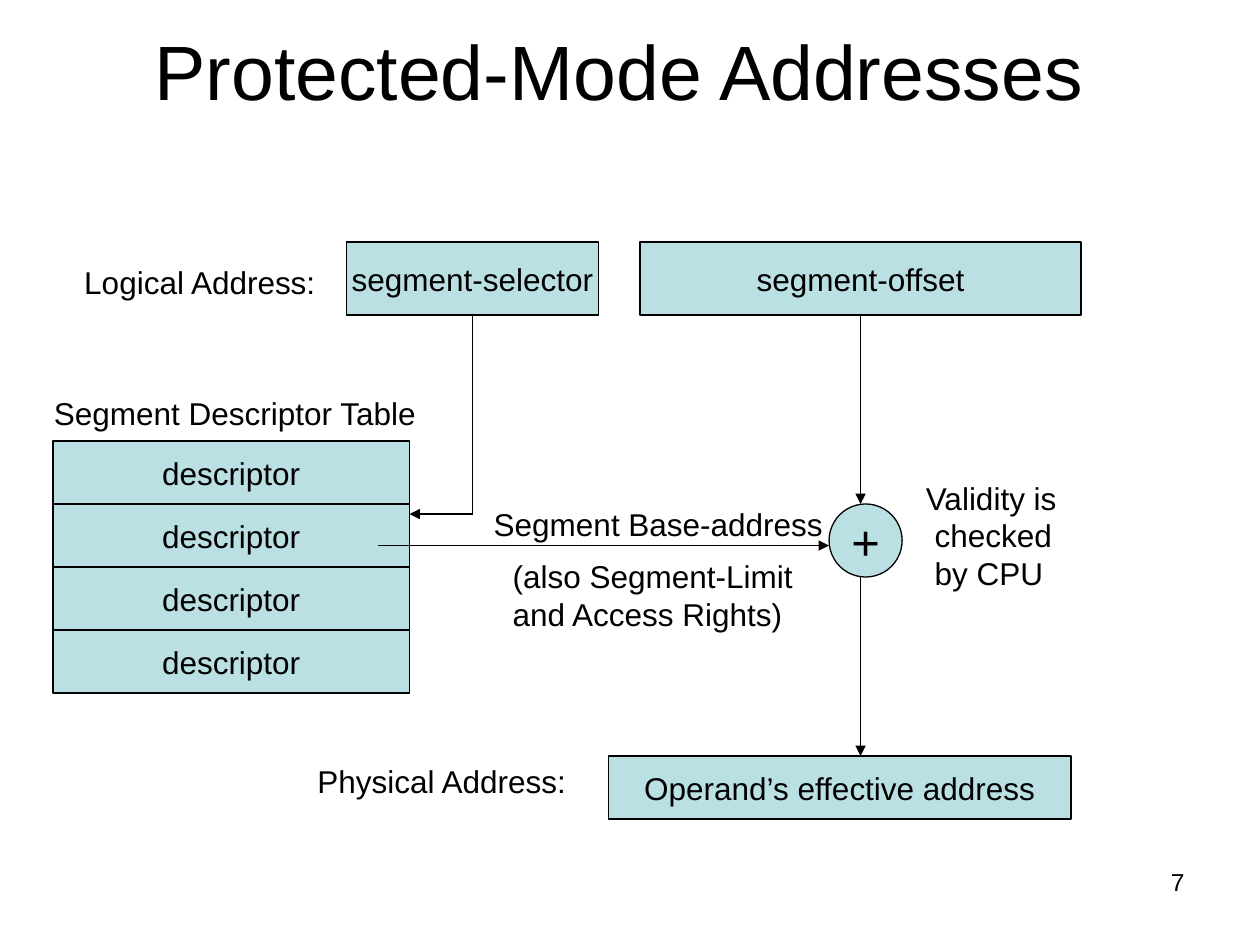
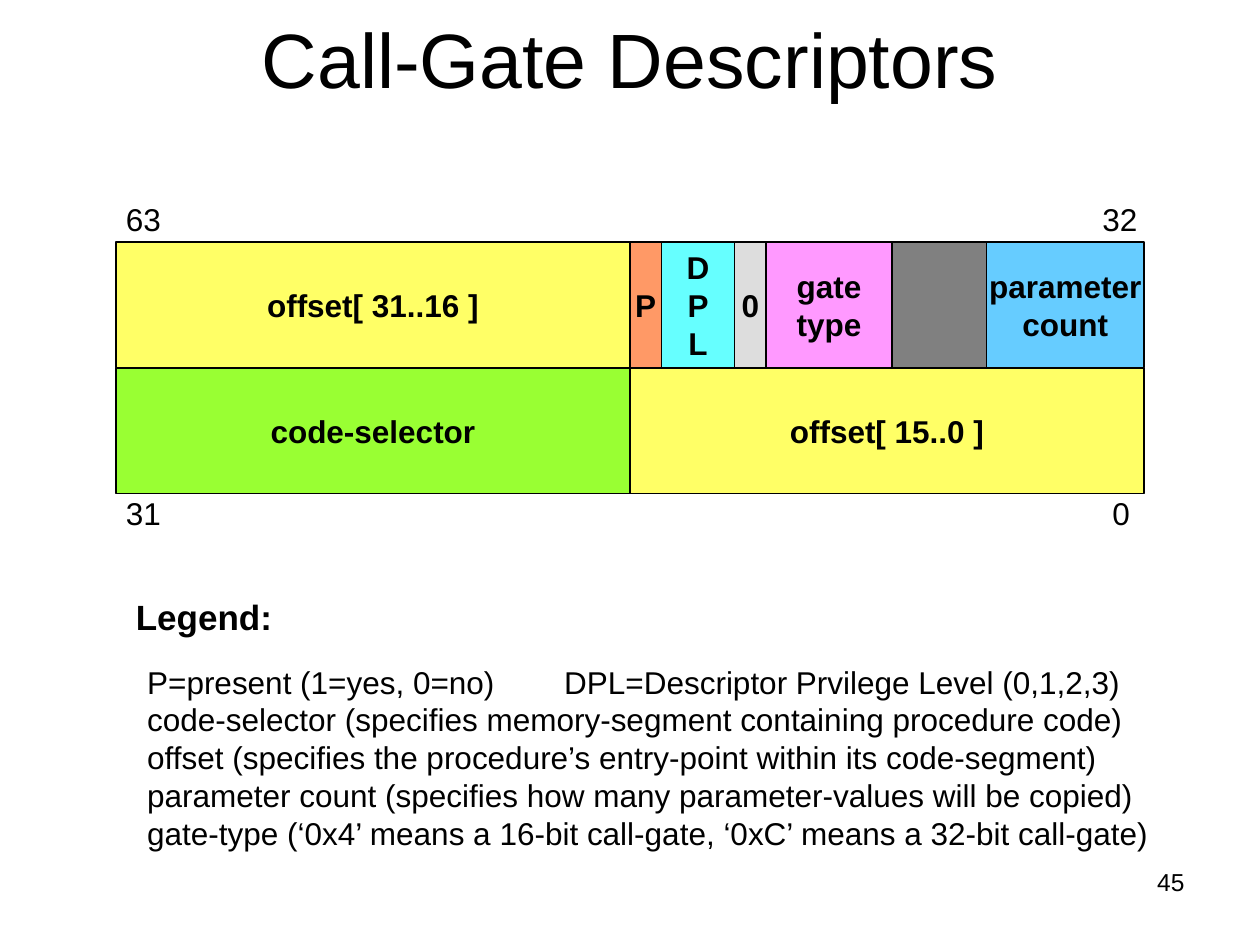
from lxml.etree import SubElement
from pptx import Presentation
from pptx.dml.color import RGBColor
from pptx.enum.shapes import MSO_CONNECTOR, MSO_SHAPE
from pptx.enum.text import MSO_ANCHOR, MSO_AUTO_SIZE, PP_ALIGN
from pptx.oxml.ns import qn
from pptx.util import Inches, Pt

FONT = "Arial"
BLACK = "000000"
PALE_TEAL = "BBE0E3"
YELLOW = "FFFF66"
GREEN = "99FF33"
ORANGE = "FF9966"
CYAN = "66FFFF"
SILVER = "DDDDDD"
PINK = "FF99FF"
GRAY = "808080"
SKY = "66CCFF"


def color(hex_string):
    """Turn a hex string into a colour."""
    return RGBColor.from_string(hex_string)


class Deck:
    """Hold the shared style and the current slide."""

    def __init__(self):
        """Start an empty 4:3 presentation."""
        self.presentation = Presentation()
        self.presentation.slide_width = Inches(10)
        self.presentation.slide_height = Inches(7.5)
        self.slide = None

    def add_slide(self, title, title_top, title_height, number):
        """Start a slide with its title and page number."""
        self.slide = self.presentation.slides.add_slide(self.presentation.slide_layouts[6])
        title_box = self.text_box(title, 0.5, title_top, 9, title_height, 44, align=PP_ALIGN.CENTER, wrap=True)
        title_box.text_frame.vertical_anchor = MSO_ANCHOR.MIDDLE
        self.text_box(str(number), 7.17, 6.83, 2.33, 0.52, 14, align=PP_ALIGN.RIGHT, wrap=True)

    def set_text(self, shape, text, size, bold, align):
        """Put styled text into a shape."""
        shape.text_frame.text = text
        for paragraph in shape.text_frame.paragraphs:
            paragraph.alignment = align
            for run in paragraph.runs:
                run.font.name = FONT
                run.font.size = Pt(size)
                run.font.bold = bold
                run.font.color.rgb = color(BLACK)

    def text_box(self, text, left, top, width, height, size=18, bold=False, align=PP_ALIGN.LEFT, wrap=False):
        """Add plain text without fill or line."""
        box = self.slide.shapes.add_textbox(Inches(left), Inches(top), Inches(width), Inches(height))
        box.text_frame.word_wrap = wrap
        box.text_frame.auto_size = MSO_AUTO_SIZE.NONE if wrap else MSO_AUTO_SIZE.SHAPE_TO_FIT_TEXT
        self.set_text(box, text, size, bold, align)
        return box

    def block(self, text, left, top, width, height, fill=PALE_TEAL, size=18, bold=False, kind=MSO_SHAPE.RECTANGLE):
        """Add a filled, outlined shape with centred text."""
        shape = self.slide.shapes.add_shape(kind, Inches(left), Inches(top), Inches(width), Inches(height))
        shape.shadow.inherit = False
        shape.fill.solid()
        shape.fill.fore_color.rgb = color(fill)
        shape.line.color.rgb = color(BLACK)
        shape.line.width = Pt(0.75)
        shape.text_frame.word_wrap = False
        shape.text_frame.vertical_anchor = MSO_ANCHOR.MIDDLE
        self.set_text(shape, text, size, bold, PP_ALIGN.CENTER)

    def line(self, start, end, arrow=True):
        """Draw a straight line, with an arrowhead at its end if wanted."""
        points = [Inches(value) for value in (*start, *end)]
        connector = self.slide.shapes.add_connector(MSO_CONNECTOR.STRAIGHT, *points)
        connector.line.color.rgb = color(BLACK)
        connector.line.width = Pt(0.75)
        properties = connector._element.spPr
        if arrow:
            SubElement(properties.get_or_add_ln(), qn("a:tailEnd"), type="triangle")
        SubElement(properties, qn("a:effectLst"))

    def indent(self, paragraph, distance):
        """Indent a whole paragraph from the left."""
        paragraph._p.get_or_add_pPr().set("marL", str(Inches(distance)))

    def tab_stop(self, paragraph, position):
        """Give a paragraph one left tab stop."""
        tabs = SubElement(paragraph._p.get_or_add_pPr(), qn("a:tabLst"))
        SubElement(tabs, qn("a:tab"), pos=str(Inches(position)), algn="l")


def add_address_slide(deck):
    """Show how a logical address becomes a physical one."""
    deck.add_slide("Protected-Mode Addresses ", 0.08, 0.95, 7)
    deck.block("segment-selector", 2.75, 1.92, 2, 0.58)
    deck.block("segment-offset", 5.08, 1.92, 3.5, 0.58)
    deck.block("Operand’s effective address", 4.83, 6, 3.67, 0.5)
    for row in range(4):
        deck.block("descriptor", 0.42, 3.5 + row * 0.5, 2.83, 0.5)

    deck.line((3.75, 2.5), (3.75, 4.08), arrow=False)
    deck.line((3.75, 4.08), (3.25, 4.08))
    deck.block("+", 6.58, 4, 0.58, 0.58, size=28, kind=MSO_SHAPE.OVAL)
    deck.line((6.83, 2.5), (6.83, 4))
    deck.line((3, 4.33), (6.58, 4.33))
    deck.line((6.83, 4.58), (6.83, 6))

    for text, left, top, width in (
        ("Logical Address:", 0.57, 2.04, 2.05),
        ("Physical Address:", 2.42, 6, 2.19),
        ("Segment Descriptor Table", 0.33, 3.08, 3.1),
        ("Segment Base-address", 3.82, 3.96, 2.81),
    ):
        deck.text_box(text, left, top, width, 0.4)
    deck.text_box("(also Segment-Limit\nand Access Rights)", 3.97, 4.37, 2.42, 0.7)
    validity = deck.text_box("Validity is\nchecked\nby CPU", 7.25, 3.75, 1.26, 1)
    for paragraph in validity.text_frame.paragraphs[1:]:
        deck.indent(paragraph, 0.07)


def add_call_gate_slide(deck):
    """Show the fields of a call-gate descriptor and their legend."""
    deck.add_slide("Call-Gate Descriptors", -0.17, 1.25, 45)
    high_half = (
        ("offset[ 31..16 ]", 4.08, YELLOW),
        ("P", 0.25, ORANGE),
        ("D\nP\nL", 0.58, CYAN),
        ("0", 0.25, SILVER),
        ("gate\ntype", 1, PINK),
        ("", 0.75, GRAY),
        ("parameter\ncount", 1.25, SKY),
    )
    low_half = (("code-selector", 4.08, GREEN), ("offset[ 15..0 ]", 4.08, YELLOW))
    for row, fields in enumerate((high_half, low_half)):
        left = 0.92
        for name, width, fill in fields:
            deck.block(name, left, 1.92 + row, width, 1, fill, bold=True)
            left += width

    for bit, left, top, width in (
        ("63", 0.9, 1.54, 0.48),
        ("32", 8.65, 1.54, 0.48),
        ("31", 0.9, 3.87, 0.48),
        ("0", 8.73, 3.87, 0.34),
    ):
        deck.text_box(bit, left, top, width, 0.4)

    deck.text_box("Legend:", 0.98, 4.68, 1.28, 0.43, 20, bold=True)
    legend = "\n".join((
        "P=present (1=yes, 0=no)\tDPL=Descriptor Prvilege Level (0,1,2,3)",
        "code-selector (specifies memory-segment containing procedure code)",
        "offset (specifies the procedure’s entry-point within its code-segment)",
        "parameter count (specifies how many parameter-values will be copied)",
        "gate-type (‘0x4’ means a 16-bit call-gate, ‘0xC’ means a 32-bit call-gate)",
    ))
    legend_box = deck.text_box(legend, 1.07, 5.21, 8.16, 1.6)
    deck.tab_stop(legend_box.text_frame.paragraphs[0], 3.31)


def main():
    """Build both slides and save them."""
    deck = Deck()
    add_address_slide(deck)
    add_call_gate_slide(deck)
    deck.presentation.save("out.pptx")


if __name__ == "__main__":
    main()
